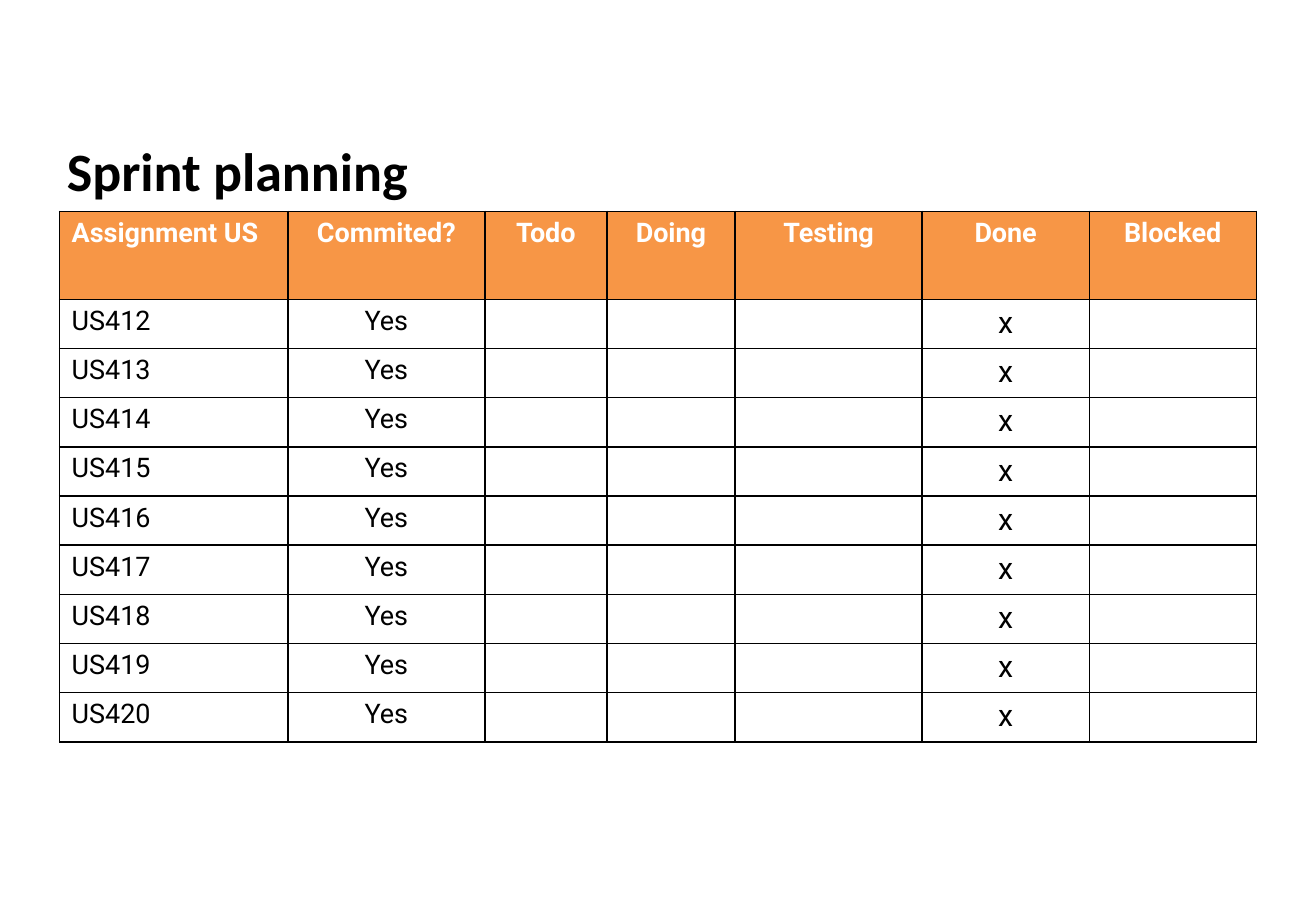
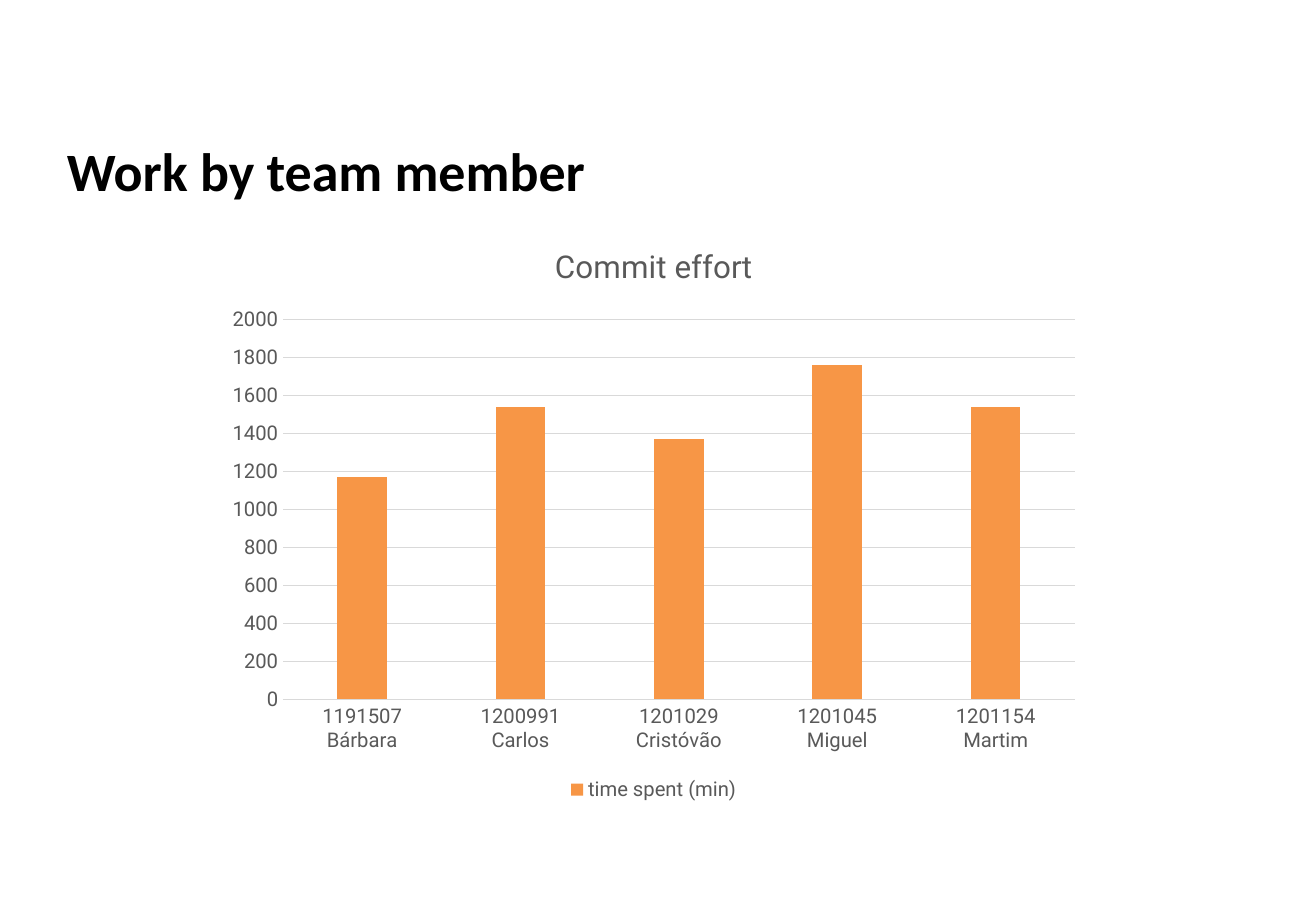
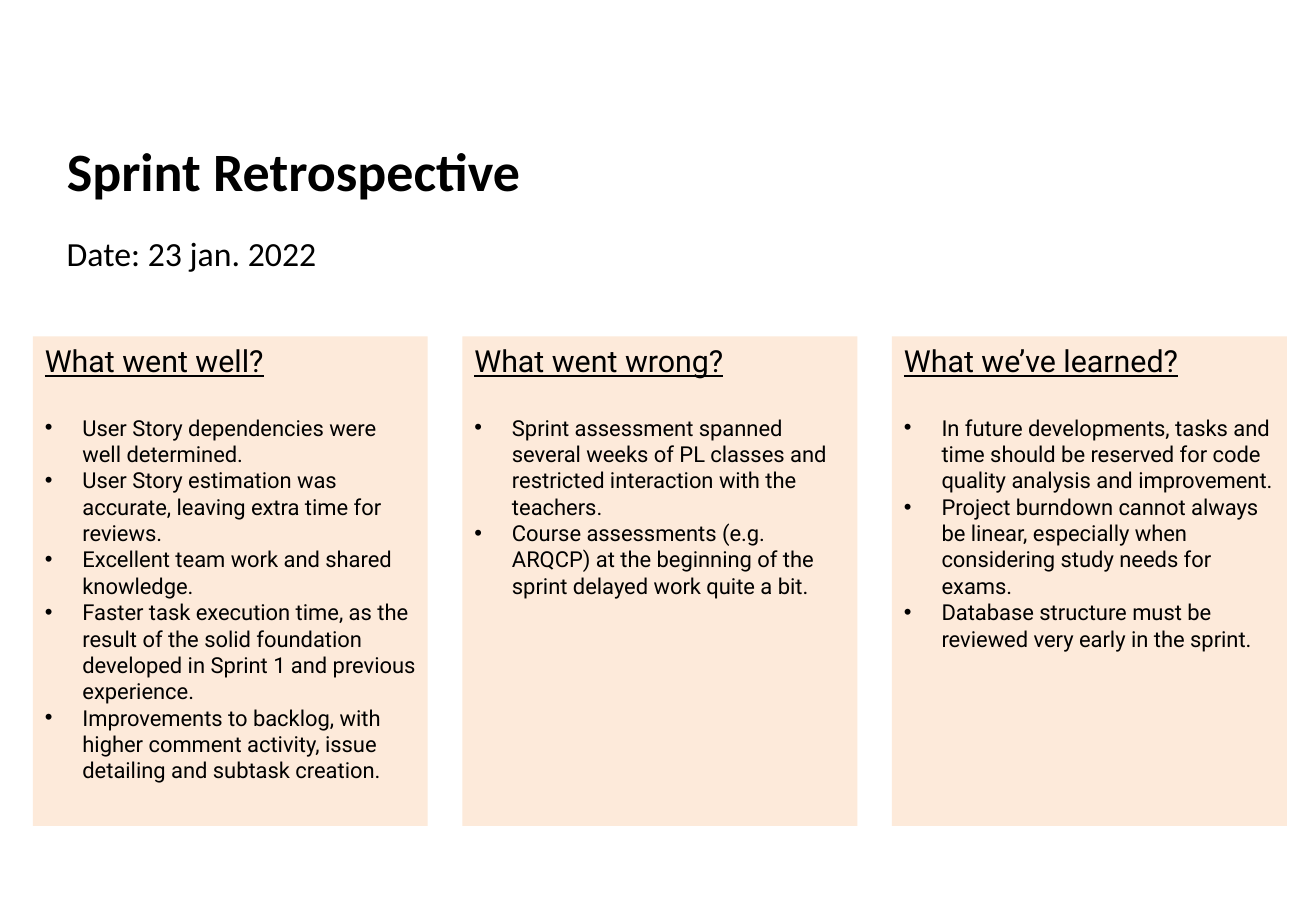
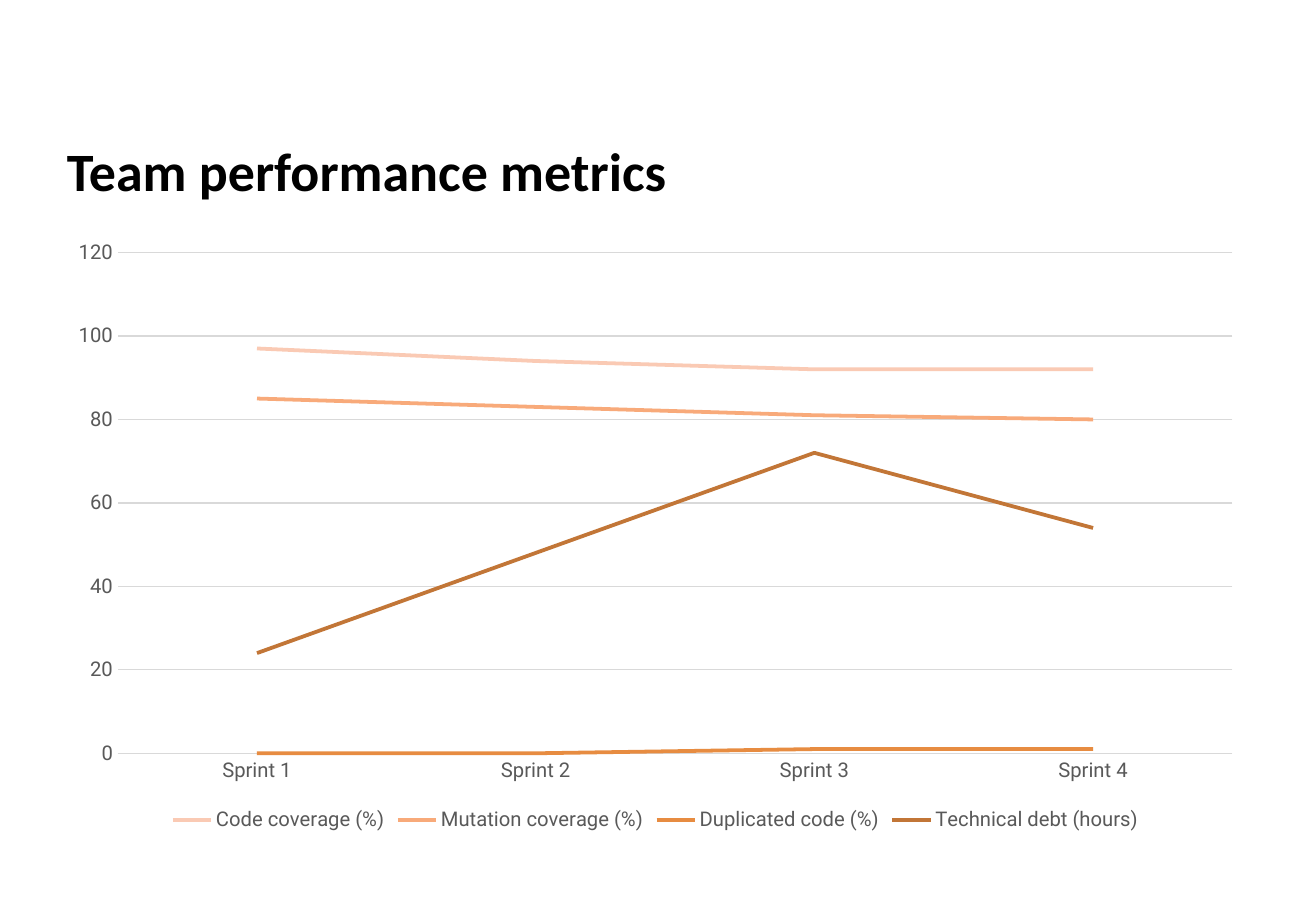
from lxml.etree import SubElement
from pptx import Presentation
from pptx.chart.data import CategoryChartData
from pptx.dml.color import RGBColor
from pptx.enum.chart import (XL_CHART_TYPE, XL_LEGEND_POSITION,
                             XL_MARKER_STYLE, XL_TICK_MARK)
from pptx.enum.shapes import MSO_SHAPE
from pptx.enum.text import MSO_ANCHOR, PP_ALIGN
from pptx.oxml.ns import qn
from pptx.util import Pt

# Shared look
SCALE = 4572  # 200 px to the inch
BLACK, WHITE, GREY, RULE = "000000", "FFFFFF", "595959", "D9D9D9"
ORANGE, PEACH = "F79646", "FDEADA"
HEAD, BODY = "Calibri", "Roboto"
LEFT, WIDE = 90, 1978

# Content
COLS = {"Assignment US": 376, "Commited?": 324, "Todo": 201, "Doing": 211,
        "Testing": 308, "Done": 275, "Blocked": 275}
STORIES = [f"US{num}" for num in range(412, 421)]

EFFORT = {"1191507\nBárbara": 1170, "1200991\nCarlos": 1540,
          "1201029\nCristóvão": 1370, "1201045\nMiguel": 1760,
          "1201154\nMartim": 1540}

CARDS = {
    "What went well?": [
        "User Story dependencies were well determined.",
        "User Story estimation was accurate, leaving extra time for reviews.",
        "Excellent team work and shared knowledge.",
        "Faster task execution time, as the result of the solid foundation "
        "developed in Sprint 1 and previous experience.",
        "Improvements to backlog, with higher comment activity, issue "
        "detailing and subtask creation."],
    "What went wrong?": [
        "Sprint assessment spanned several weeks of PL classes and "
        "restricted interaction with the teachers.",
        "Course assessments (e.g. ARQCP) at the beginning of the sprint "
        "delayed work quite a bit."],
    "What we’ve learned?": [
        "In future developments, tasks and time should be reserved for code "
        "quality analysis and improvement.",
        "Project burndown cannot always be linear, especially when "
        "considering study needs for exams.",
        "Database structure must be reviewed very early in the sprint."],
}

SPRINTS = [f"Sprint {num}" for num in range(1, 5)]
METRICS = [
    ("Code coverage (%)", (97, 94, 92, 92), "FACAB4"),
    ("Mutation coverage (%)", (85, 83, 81, 80), "F8AA7A"),
    ("Duplicated code (%)", (0, 0, 1, 1), "E78C41"),
    ("Technical debt (hours)", (24, 48, 72, 54), "C27637"),
]


def px(num):
    return num * SCALE


def box(*sides):
    return [px(side) for side in sides]


def color(code):
    return RGBColor.from_string(code)


def style(font, size, code=BLACK, face=BODY, bold=False, under=False):
    font.size = Pt(size)
    font.name = face
    font.bold = bold
    font.underline = under
    font.color.rgb = color(code)


def write(para, text, size, align=PP_ALIGN.LEFT, **look):
    para.text = text
    para.alignment = align
    for run in para.runs:
        style(run.font, size, **look)


def start(deck, text):
    """Add a title-only slide with the shared title."""
    slide = deck.slides.add_slide(deck.slide_layouts[5])
    title = slide.shapes.title
    title.left, title.top, title.width, title.height = box(LEFT, 218, WIDE, 124)
    title.text_frame.vertical_anchor = MSO_ANCHOR.MIDDLE
    write(title.text_frame.paragraphs[0], text, 32, face=HEAD, bold=True)
    return slide


# Table
def frame(cell):
    """Draw a thin black line on each side of a cell."""
    props = cell._tc.get_or_add_tcPr()
    for side in ("lnL", "lnR", "lnT", "lnB"):
        line = SubElement(props, qn(f"a:{side}"), w=str(Pt(0.96)))
        fill = SubElement(line, qn("a:solidFill"))
        SubElement(fill, qn("a:srgbClr"), val=BLACK)


def fill_row(row, texts, back=None, **look):
    for col, (cell, text) in enumerate(zip(row.cells, texts)):
        cell.margin_bottom = 0
        frame(cell)
        if back:
            cell.fill.solid()
            cell.fill.fore_color.rgb = color(back)
        else:
            cell.fill.background()
        if text:
            write(cell.text_frame.paragraphs[0], text, 18 if text == "x" else 16,
                  PP_ALIGN.CENTER if col else PP_ALIGN.LEFT, **look)


def add_plan(slide):
    top, step = 145, 81
    count = len(STORIES)
    table = slide.shapes.add_table(
        count + 1, len(COLS),
        *box(98, 348, sum(COLS.values()), top + step * count)).table
    table.horz_banding = table.first_row = False
    for col, width in zip(table.columns, COLS.values()):
        col.width = px(width)
    for num, row in enumerate(table.rows):
        row.height = px(step if num else top)
    rows = list(table.rows)
    fill_row(rows[0], COLS, ORANGE, code=WHITE, bold=True)
    for row, story in zip(rows[1:], STORIES):
        fill_row(row, (story, "Yes", "", "", "", "x", ""))


# Charts
def add_graph(slide, kind, place, cats, series, peak, unit):
    data = CategoryChartData()
    data.categories = cats
    for name, vals, _ in series:
        data.add_series(name, vals)
    chart = slide.shapes.add_chart(kind, *box(*place), data).chart
    style(chart.font, 12, GREY)
    chart.has_title = False
    chart.has_legend = True
    chart.legend.position = XL_LEGEND_POSITION.BOTTOM
    chart.legend.include_in_layout = False
    style(chart.legend.font, 12, GREY)
    cat, val = chart.category_axis, chart.value_axis
    for axis in (cat, val):
        axis.major_tick_mark = axis.minor_tick_mark = XL_TICK_MARK.NONE
        style(axis.tick_labels.font, 12, GREY)
    val.minimum_scale, val.maximum_scale, val.major_unit = 0, peak, unit
    val.format.line.fill.background()
    for line in (cat.format.line, val.major_gridlines.format.line):
        line.width = Pt(0.75)
        line.color.rgb = color(RULE)
    chart.plots[0].vary_by_categories = False
    return chart


def add_bars(slide):
    name = "time spent (min)"
    chart = add_graph(slide, XL_CHART_TYPE.COLUMN_CLUSTERED,
                      (354, 366, 1444, 962), EFFORT,
                      [(name, EFFORT.values(), ORANGE)], 2000, 200)
    chart.has_title = True
    write(chart.chart_title.text_frame.paragraphs[0], "Commit effort", 18.6,
          PP_ALIGN.CENTER, code=GREY)
    plot = chart.plots[0]
    plot.gap_width, plot.overlap = 219, -27
    fill = plot.series[0].format.fill
    fill.solid()
    fill.fore_color.rgb = color(ORANGE)


def add_lines(slide):
    chart = add_graph(slide, XL_CHART_TYPE.LINE, (LEFT, 376, WIDE, 1002),
                      SPRINTS, METRICS, 120, 20)
    for item, (_, _, code) in zip(chart.plots[0].series, METRICS):
        item.smooth = False
        item.marker.style = XL_MARKER_STYLE.NONE
        item.format.line.width = Pt(2.25)
        item.format.line.color.rgb = color(code)


# Retrospective
def add_date(slide, text):
    frame = slide.shapes.add_textbox(*box(LEFT, 374, WIDE, 1004)).text_frame
    frame.word_wrap = True
    write(frame.paragraphs[0], text, 20, face=HEAD)


def bullet(para):
    props = para._p.get_or_add_pPr()
    props.set("marL", str(px(62)))
    props.set("indent", str(px(-62)))
    tint = SubElement(props, qn("a:buClr"))
    SubElement(tint, qn("a:srgbClr"), val=BLACK)
    SubElement(props, qn("a:buFont"), typeface="Arial")
    SubElement(props, qn("a:buChar"), char="•")


def add_card(slide, left, head, points):
    card = slide.shapes.add_shape(MSO_SHAPE.RECTANGLE, *box(left, 554, 650, 806))
    card.shadow.inherit = False
    card.fill.solid()
    card.fill.fore_color.rgb = color(PEACH)
    card.line.fill.background()
    frame = card.text_frame
    frame.word_wrap = True
    frame.vertical_anchor = MSO_ANCHOR.TOP
    first = frame.paragraphs[0]
    write(first, head, 18, under=True)
    first.space_after = Pt(21)
    for point in points:
        para = frame.add_paragraph()
        bullet(para)
        write(para, point, 13)


def main():
    deck = Presentation()
    deck.slide_width, deck.slide_height = box(2166, 1500)

    add_plan(start(deck, "Sprint planning"))
    add_bars(start(deck, "Work by team member"))

    retro = start(deck, "Sprint Retrospective")
    add_date(retro, "Date: 23 jan. 2022")
    for num, (head, points) in enumerate(CARDS.items()):
        add_card(retro, 54 + 707 * num, head, points)

    add_lines(start(deck, "Team performance metrics"))
    deck.save("out.pptx")


if __name__ == "__main__":
    main()
